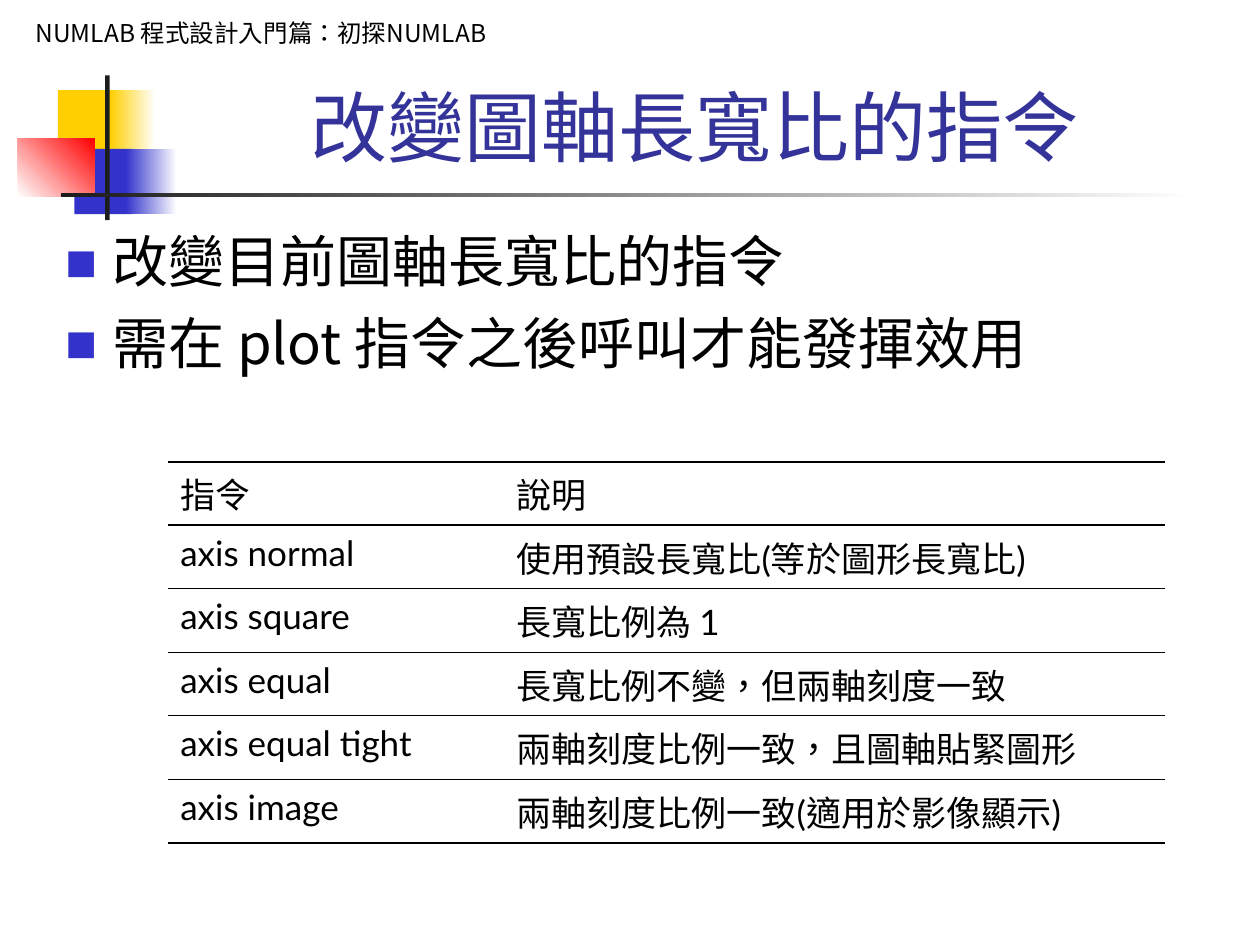
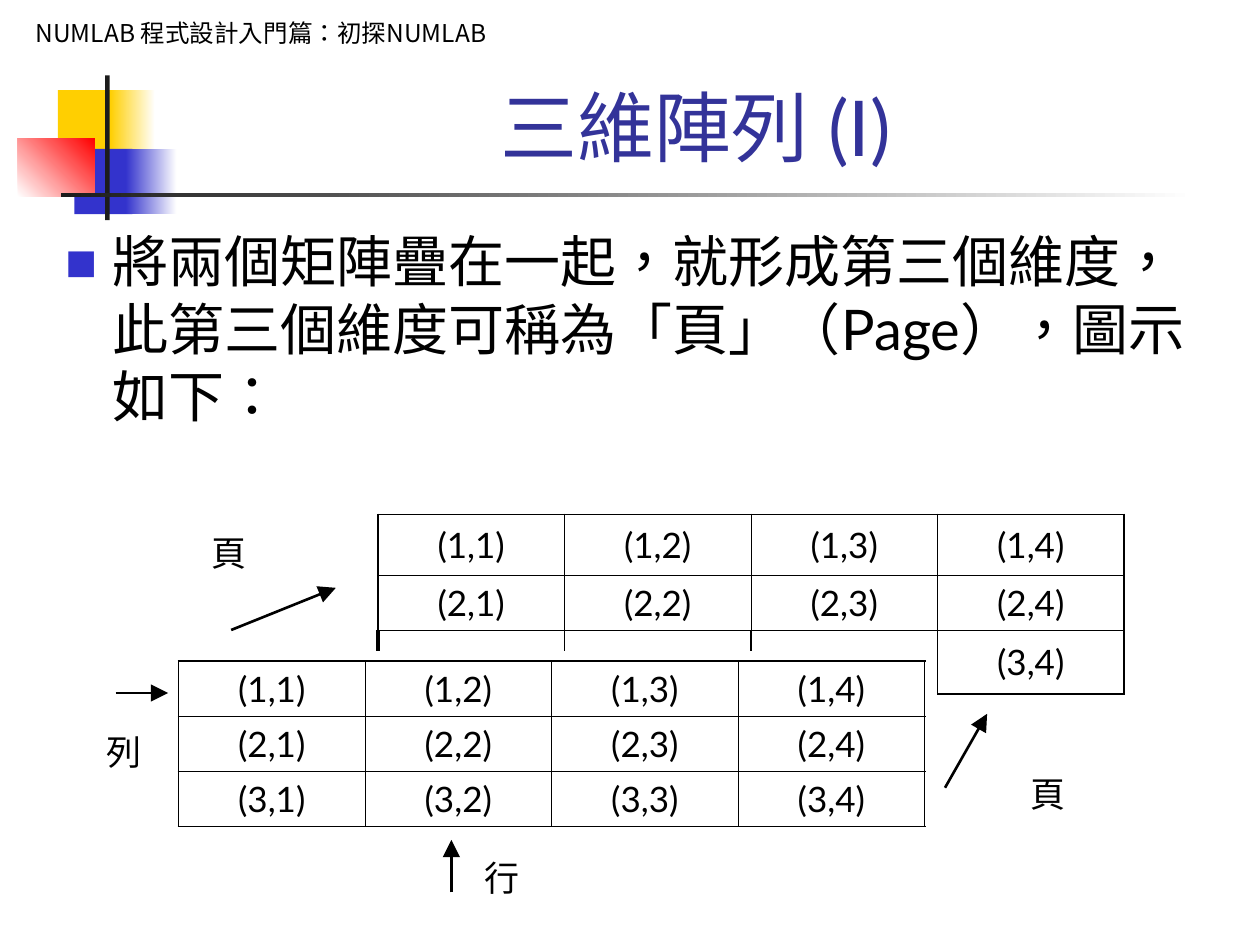
from dataclasses import dataclass

from lxml.etree import SubElement
from pptx import Presentation
from pptx.dml.color import RGBColor
from pptx.enum.shapes import MSO_CONNECTOR, MSO_SHAPE
from pptx.enum.text import MSO_ANCHOR, PP_ALIGN
from pptx.oxml.ns import qn
from pptx.util import Cm, Pt


@dataclass(frozen=True)
class Theme:
    """Colours, fonts and sizes in points."""

    ink: str = "000000"
    paper: str = "FFFFFF"
    title: str = "333399"
    yellow: str = "FFCF01"
    blue: str = "3333CC"
    red: str = "FF0000"
    bar: str = "1C1C1C"
    latin: str = "Lato"
    cjk: str = "Noto Sans CJK SC"
    serif: str = "Times New Roman"
    title_size: int = 44
    body_size: int = 32
    table_size: int = 20
    header_size: int = 14
    thick: float = 1.08
    thin: float = 0.45


THEME = Theme()
NO_TABLE_STYLE = "{2D5ABB26-0587-4C30-8999-92F81FD0307C}"

HEADER = "NUMLAB 程式設計入門篇：初探NUMLAB"
AXIS_COMMANDS = [
    ("指令", "說明"),
    ("axis normal", "使用預設長寬比(等於圖形長寬比)"),
    ("axis square", "長寬比例為 1"),
    ("axis equal", "長寬比例不變，但兩軸刻度一致"),
    ("axis equal tight", "兩軸刻度比例一致，且圖軸貼緊圖形"),
    ("axis image", "兩軸刻度比例一致(適用於影像顯示)"),
]


def assign(target, values):
    """Set each named format value on an object."""
    for name, value in values.items():
        setattr(target, name, value)


def lengths(place):
    """Turn centimetre numbers into lengths."""
    return [Cm(value) for value in place]


def write(para, text, size, font, asian=None, color=THEME.ink, **layout):
    """Put one formatted span into a paragraph."""
    assign(para, layout)
    span = para.add_run()
    span.text = text
    assign(span.font, {"size": Pt(size), "name": font})
    span.font.color.rgb = RGBColor.from_string(color)
    properties = span.font._element
    properties.set("lang", "zh-TW")
    SubElement(properties, qn("a:ea")).set("typeface", asian or font)


def add_block(page, place, *colors, angle=0):
    """Draw a rectangle with a plain fill or a two-colour gradient."""
    block = page.shapes.add_shape(MSO_SHAPE.RECTANGLE, *lengths(place))
    block.shadow.inherit = False
    block.line.fill.background()
    if len(colors) == 1:
        block.fill.solid()
        block.fill.fore_color.rgb = RGBColor.from_string(colors[0])
        return block
    block.fill.gradient()
    block.fill.gradient_angle = angle
    for stop, color in zip(block.fill.gradient_stops, colors):
        stop.color.rgb = RGBColor.from_string(color)
    return block


def add_frame(page, place, anchor=MSO_ANCHOR.TOP):
    """Add a wrapping text box and return its text frame."""
    frame = page.shapes.add_textbox(*lengths(place)).text_frame
    assign(frame, {"word_wrap": True, "vertical_anchor": anchor})
    return frame


def add_ornament(page):
    """Draw the coloured blocks, crossing bars and course header."""
    add_block(page, (1.17, 1.82, 1.22, 1.32), THEME.yellow)
    add_block(page, (2.22, 1.82, 0.91, 1.32), THEME.yellow, THEME.paper)
    add_block(page, (1.5, 3, 1.17, 1.32), THEME.blue)
    add_block(page, (2.54, 3, 1.02, 1.32), THEME.blue, THEME.paper)
    add_block(page, (0.36, 2.79, 1.55, 1.17), THEME.paper, THEME.red, angle=45)
    add_block(page, (2.12, 1.52, 0.09, 2.92), THEME.bar)
    add_block(page, (1.23, 3.89, 22.86, 0.09), THEME.bar, THEME.paper)
    header = add_block(page, (0.22, 0.19, 10.08, 0.86), THEME.paper)
    header.text_frame.vertical_anchor = MSO_ANCHOR.TOP
    write(header.text_frame.paragraphs[0], HEADER, THEME.header_size, THEME.cjk,
          alignment=PP_ALIGN.CENTER, line_spacing=Pt(18))


def add_bullet(para):
    """Give a paragraph a hanging square bullet."""
    properties = para._p.get_or_add_pPr()
    properties.set("marL", str(Cm(0.95)))
    properties.set("indent", str(-Cm(0.95)))
    color = SubElement(properties, qn("a:buClr"))
    SubElement(color, qn("a:srgbClr")).set("val", THEME.blue)
    SubElement(properties, qn("a:buSzPct")).set("val", "60000")
    SubElement(properties, qn("a:buFont")).set("typeface", THEME.latin)
    SubElement(properties, qn("a:buChar")).set("char", "■")


def add_page(deck, title, title_font, points, body_font):
    """Start a page with its ornament, title and bullet points."""
    page = deck.slides.add_slide(deck.slide_layouts[6])
    add_ornament(page)
    frame = add_frame(page, (3.2, 1.49, 21.64, 2.11), MSO_ANCHOR.BOTTOM)
    write(frame.paragraphs[0], title, THEME.title_size, title_font, THEME.latin,
          THEME.title, alignment=PP_ALIGN.CENTER)
    frame = add_frame(page, (1.07, 4.45, 23.83, 12.9))
    for index, point in enumerate(points):
        para = frame.add_paragraph() if index else frame.paragraphs[0]
        write(para, point, THEME.body_size, body_font,
              space_before=Pt(8), line_spacing=Pt(38.4))
        add_bullet(para)
    return page


def add_borders(cell, widths):
    """Draw the given cell sides, each with its width in points."""
    properties = cell._tc.get_or_add_tcPr()
    sides = [side for side in "LRTB" if side in widths]
    for index, side in enumerate(sides):
        line = SubElement(properties, qn(f"a:ln{side}"))
        line.set("w", str(Pt(widths[side])))
        fill = SubElement(line, qn("a:solidFill"))
        SubElement(fill, qn("a:srgbClr")).set("val", THEME.ink)
        properties.insert(index, line)


def fill_cell(cell, opacity):
    """Fill a cell with paper colour at a percentage, or leave it clear."""
    if not opacity:
        cell.fill.background()
        return
    cell.fill.solid()
    cell.fill.fore_color.rgb = RGBColor.from_string(THEME.paper)
    color = cell._tc.tcPr.find(".//" + qn("a:srgbClr"))
    SubElement(color, qn("a:alpha")).set("val", str(opacity * 1000))


def add_grid(page, left, top, widths, heights, rows, sides="LRTB",
             header=False, opacity=0, anchor=MSO_ANCHOR.MIDDLE,
             alignment=PP_ALIGN.CENTER):
    """Add a ruled table with a heavier outline; None marks cells to merge."""
    place = lengths((left, top, sum(widths), sum(heights)))
    table = page.shapes.add_table(len(rows), len(widths), *place).table
    assign(table, {"first_row": False, "horz_banding": False})
    table._tbl.tblPr.find(qn("a:tableStyleId")).text = NO_TABLE_STYLE
    for column, width in zip(table.columns, widths):
        column.width = Cm(width)
    for line, height in zip(table.rows, heights):
        line.height = Cm(height)
    last_row, last_column = len(rows) - 1, len(widths) - 1
    for row, texts in enumerate(rows):
        for column, text in enumerate(texts):
            cell = table.cell(row, column)
            cell.vertical_anchor = anchor
            fill_cell(cell, opacity)
            outer = {"L": column == 0, "R": column == last_column,
                     "T": row == 0 or header and row == 1,
                     "B": row == last_row or header and row == 0}
            drawn = sides if text else "T"
            add_borders(cell, {side: THEME.thick if outer[side] else THEME.thin
                               for side in drawn})
            if text:
                write(cell.text_frame.paragraphs[0], text, THEME.table_size,
                      THEME.latin, THEME.cjk, alignment=alignment,
                      space_before=Pt(5))
        empty = [column for column, text in enumerate(texts) if text is None]
        if empty:
            table.cell(row, empty[0]).merge(table.cell(row, empty[-1]))


def add_line(page, start, end, width, arrow=False):
    """Draw a straight line, with a large arrowhead at its end if asked."""
    line = page.shapes.add_connector(MSO_CONNECTOR.STRAIGHT,
                                     *lengths(start + end))
    line.line.width = Pt(width)
    line.line.color.rgb = RGBColor.from_string(THEME.ink)
    properties = line._element.spPr
    if arrow:
        SubElement(properties.find(qn("a:ln")), qn("a:tailEnd"),
                   {"type": "triangle", "w": "lg", "len": "lg"})
    SubElement(properties, qn("a:effectLst"))


def add_label(page, text, left, top):
    """Add a short label beside an arrow."""
    frame = add_frame(page, (left, top, 1.27, 1.12))
    write(frame.paragraphs[0], text, THEME.table_size, THEME.latin)


def add_aspect_page(deck):
    """Build the page on axis aspect commands."""
    page = add_page(deck, "改變圖軸長寬比的指令", THEME.serif,
                    ["改變目前圖軸長寬比的指令", "需在 plot 指令之後呼叫才能發揮效用"],
                    THEME.cjk)
    add_grid(page, 3.38, 9.31, [6.77, 13.34], [1.28] * 6, AXIS_COMMANDS,
             sides="TB", header=True, anchor=MSO_ANCHOR.TOP,
             alignment=PP_ALIGN.LEFT)


def add_array_page(deck):
    """Build the page on three-dimensional arrays."""
    page = add_page(deck, "三維陣列 (I)", THEME.latin,
                    ["將兩個矩陣疊在一起，就形成第三個維度，此第三個維度可稱為「頁」"
                     "（Page），圖示如下："], THEME.latin)
    matrix = [[f"({row},{column})" for column in range(1, 5)]
              for row in range(1, 4)]
    covered = matrix[:2] + [[None] * 3 + matrix[2][3:]]
    add_grid(page, 7.62, 10.37, [3.76] * 4, [1.23, 1.11, 1.28], covered,
             opacity=50)
    add_grid(page, 3.6, 13.33, [3.76] * 4, [1.11] * 3, matrix)

    for column, width in enumerate((2.25, 0.75, 0.75)):
        edge = 7.62 + 3.76 * column
        add_line(page, (edge, 12.7), (edge, 13.12), width)
    for start, end in [((4.66, 12.7), (6.77, 11.85)),
                       ((2.33, 13.97), (3.39, 13.97)),
                       ((9.1, 17.99), (9.1, 16.93)),
                       ((19.05, 15.88), (19.9, 14.39))]:
        add_line(page, start, end, 1.5, arrow=True)
    for text, left, top in [("頁", 20.53, 15.45), ("行", 9.52, 17.15),
                            ("頁", 4.02, 10.58), ("列", 1.9, 14.61)]:
        add_label(page, text, left, top)


def main():
    """Build and save the deck."""
    deck = Presentation()
    assign(deck, {"slide_width": Cm(25.4), "slide_height": Cm(19.05)})
    add_aspect_page(deck)
    add_array_page(deck)
    deck.save("out.pptx")


if __name__ == "__main__":
    main()
